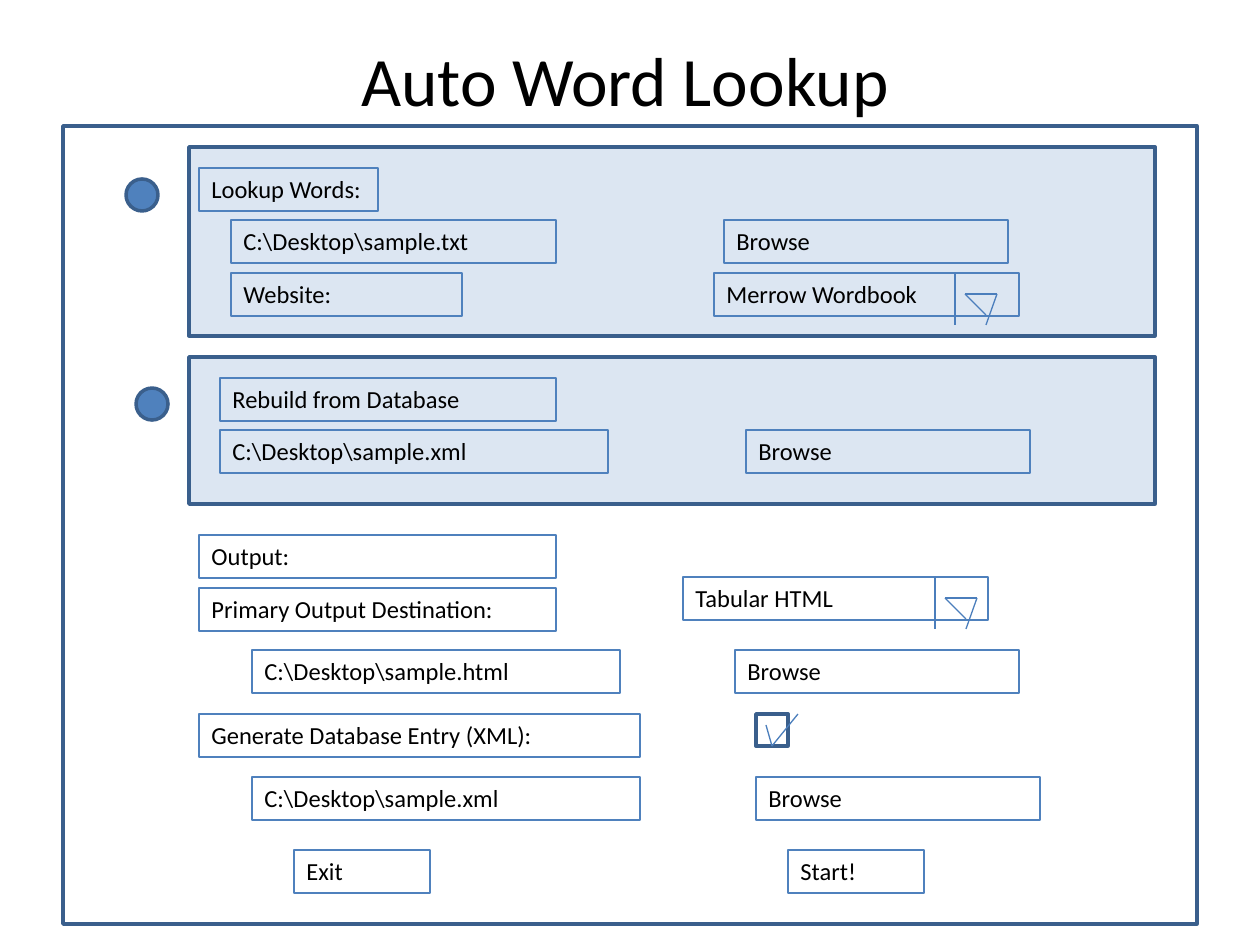
import pptx
import pptx.util
import pptx.dml.color
import pptx.enum.shapes
import pptx.enum.text
import pptx.oxml

SCALE = 914400 / 126
COLORS = {"panel": "DCE6F2", "accent": "4F81BD", "edge": "3A5F8C",
          "stroke": "4B7EBC", "text": "000000"}
SHAPES = pptx.enum.shapes.MSO_SHAPE
ALIGN = pptx.enum.text.PP_ALIGN
ANCHOR = pptx.enum.text.MSO_ANCHOR
FIT = pptx.enum.text.MSO_AUTO_SIZE
FIELD_HEIGHT = 43


def emu(pixels):
    """Turn pixels into EMU."""
    return pptx.util.Emu(round(pixels * SCALE))


def rgb(name):
    """Look up a colour by name."""
    return pptx.dml.color.RGBColor.from_string(COLORS[name])


def write(shape, text, size=14, font="Calibri", color="text",
          align=ALIGN.LEFT, anchor=ANCHOR.TOP, fit=FIT.SHAPE_TO_FIT_TEXT):
    """Put formatted text into a shape."""
    frame = shape.text_frame
    frame.word_wrap = True
    frame.auto_size = fit
    frame.vertical_anchor = anchor
    paragraph = frame.paragraphs[0]
    paragraph.alignment = align
    run = paragraph.add_run()
    run.text = text
    run.font.size = pptx.util.Pt(size)
    run.font.name = font
    run.font.color.rgb = rgb(color)


class Mockup:
    """Draws the parts of a dialog window on one slide."""

    def __init__(self, slide):
        """Keep the slide and the line widths."""
        self.slide = slide
        self.thick, self.thin = 2, 0.75

    def outline(self, shape, color, width):
        """Set the line of a shape."""
        shape.line.color.rgb = rgb(color)
        shape.line.width = pptx.util.Pt(width)

    def title(self, text, left, top, width, height):
        """Add the slide heading."""
        shape = self.slide.shapes.add_textbox(*map(emu, (left, top, width, height)))
        write(shape, text, size=39.6, align=ALIGN.CENTER,
              anchor=ANCHOR.MIDDLE, fit=FIT.NONE)

    def frame(self, left, top, width, height, fill=None,
              kind=SHAPES.RECTANGLE, parent=None):
        """Add a shape with a thick edge."""
        shape = (parent or self.slide).shapes.add_shape(
            kind, *map(emu, (left, top, width, height)))
        shape.shadow.inherit = False
        if fill:
            shape.fill.solid()
            shape.fill.fore_color.rgb = rgb(fill)
        else:
            shape.fill.background()
        self.outline(shape, "edge", self.thick)

    def radio(self, left, top):
        """Add a round option button."""
        self.frame(left, top, 32, 32, "accent", SHAPES.OVAL)

    def field(self, text, left, top, width, parent=None):
        """Add a thinly outlined text box."""
        shape = (parent or self.slide).shapes.add_textbox(
            *map(emu, (left, top, width, FIELD_HEIGHT)))
        self.outline(shape, "accent", self.thin)
        write(shape, text)

    def strokes(self, parent, left, top, segments):
        """Add thin lines given as offsets from one corner."""
        for x1, y1, x2, y2 in segments:
            line = parent.shapes.add_connector(
                pptx.enum.shapes.MSO_CONNECTOR.STRAIGHT,
                emu(left + x1), emu(top + y1), emu(left + x2), emu(top + y2))
            self.outline(line, "stroke", self.thin)
            line._element.spPr.append(pptx.oxml.parse_xml(
                '<a:effectLst xmlns:a='
                '"http://schemas.openxmlformats.org/drawingml/2006/main"/>'))

    def dropdown(self, text, left, top, divider):
        """Add a field with a divider and a sketched arrow."""
        group = self.slide.shapes.add_group_shape()
        self.field(text, left, top, 305, group)
        self.strokes(group, divider, top, [
            (0, 0, 0, 52), (10, 21, 31, 42), (31, 52, 42, 21), (42, 21, 10, 21)])

    def checkbox(self, left, top):
        """Add a ticked box."""
        group = self.slide.shapes.add_group_shape()
        self.frame(left, top, 32, 32, parent=group)
        self.strokes(group, left, top, [(10, 11, 16, 32), (16, 32, 42, 0)])


presentation = pptx.Presentation()
presentation.slide_width = emu(1260)
presentation.slide_height = emu(945)
mockup = Mockup(presentation.slides.add_slide(presentation.slide_layouts[6]))

for panel_top, panel_height in [(357, 147), (147, 189)]:
    mockup.frame(189, panel_top, 966, panel_height, "panel")
mockup.title("Auto Word Lookup", 242, 42, 766, 74)
mockup.frame(63, 126, 1134, 798)
mockup.radio(126, 179)
mockup.radio(136, 388)

FIELDS = [
    ("Lookup Words:", 199, 168, 179),
    ("C:\\Desktop\\sample.txt", 231, 220, 325),
    ("Website:", 231, 273, 231),
    ("Rebuild from Database", 220, 378, 336),
    ("C:\\Desktop\\sample.xml", 220, 430, 388),
    ("Output:", 199, 535, 357),
    ("Primary Output Destination:", 199, 588, 357),
    ("C:\\Desktop\\sample.html", 252, 650, 368),
    ("Generate Database Entry (XML):", 199, 714, 441),
    ("C:\\Desktop\\sample.xml", 252, 777, 388),
    ("Exit", 294, 850, 136),
    ("Start!", 788, 850, 136),
]
for field in FIELDS:
    mockup.field(*field)
for browse_left, browse_top in [(724, 220), (746, 430), (735, 650), (756, 777)]:
    mockup.field("Browse", browse_left, browse_top, 284)

mockup.dropdown("Merrow Wordbook", 714, 273, 955)
mockup.dropdown("Tabular HTML", 683, 577, 935)
mockup.checkbox(756, 714)

presentation.save("out.pptx")
